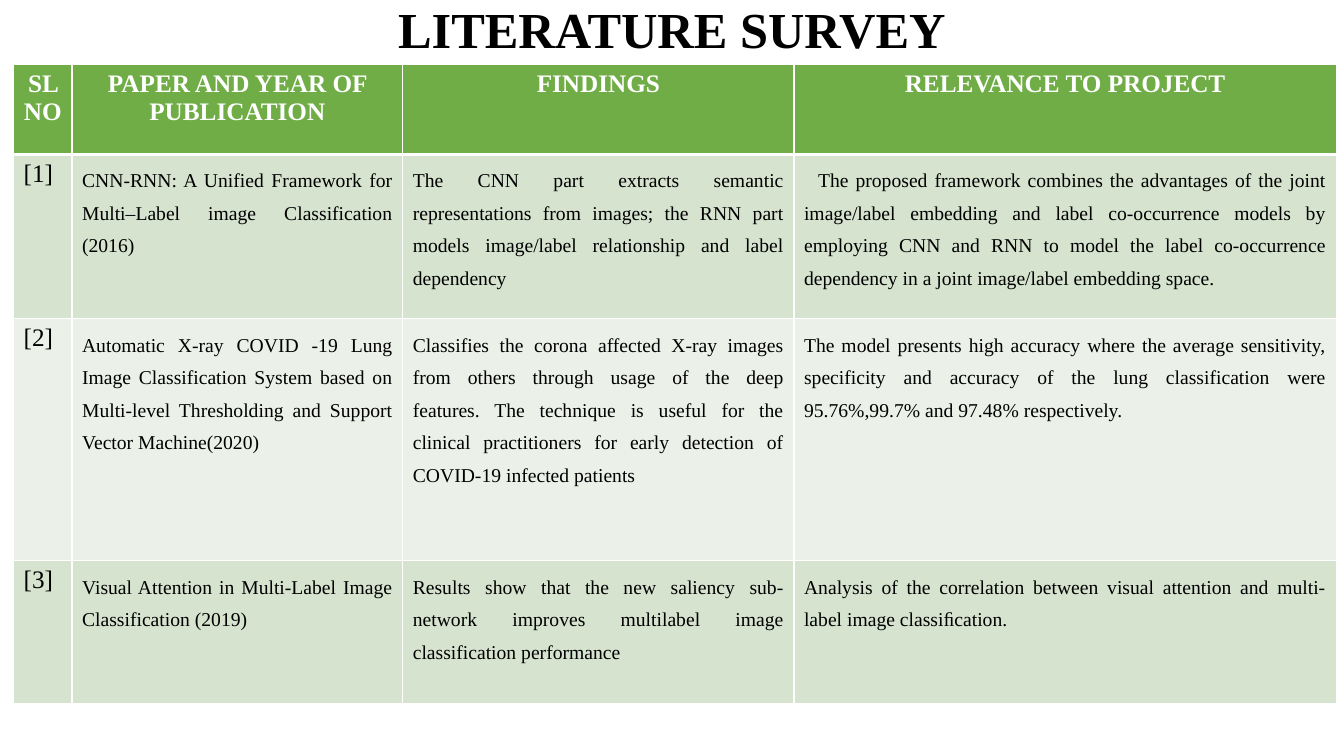
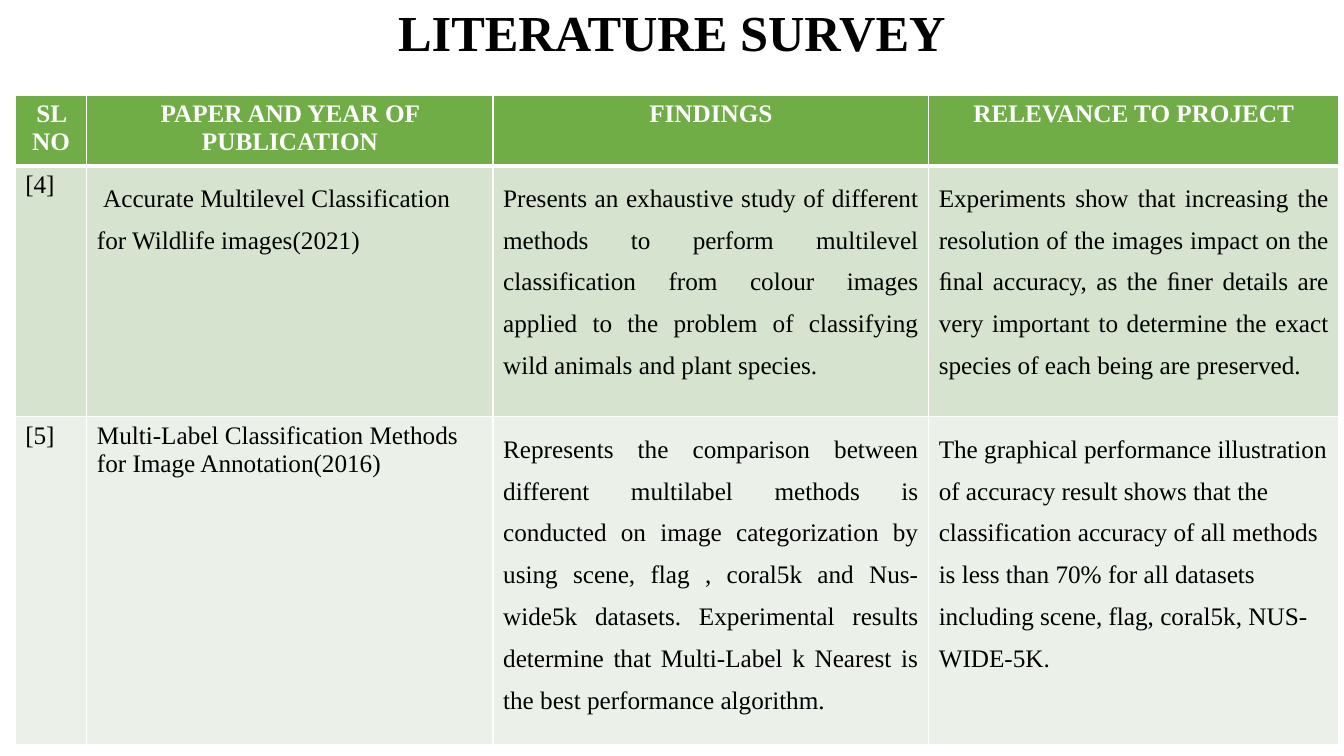
from dataclasses import dataclass

from lxml.etree import SubElement
from pptx import Presentation
from pptx.dml.color import RGBColor
from pptx.enum.text import MSO_ANCHOR as Anchor, PP_ALIGN as Align
from pptx.oxml import parse_xml
from pptx.oxml.ns import nsdecls, qn
from pptx.util import Inches, Pt


@dataclass(frozen=True)
class Theme:
    font: str = "Times New Roman"
    title_size: int = 36
    large: int = 18
    small: int = 14
    ink: str = "000000"
    paper: str = "FFFFFF"
    header: str = "70AD47"
    bands: tuple = ("D5E3CF", "EBF1E9")
    rule: int = 1
    header_rule: int = 3


@dataclass(frozen=True)
class Entry:
    """Text of one table cell and how it is set."""
    text: str
    size: int = Theme.large
    align: Align = Align.JUSTIFY
    spacing: float = 1.5
    indent: float = 0


class SurveyDeck:
    """Style and current slide; all lengths are percent of the slide's size."""

    def __init__(self, theme):
        self.theme = theme
        self.presentation = Presentation()
        self.presentation.slide_width = Inches(13.33)
        self.presentation.slide_height = Inches(7.5)
        self.slide = None

    def across(self, percent):
        return round(self.presentation.slide_width * percent / 100)

    def down(self, percent):
        return round(self.presentation.slide_height * percent / 100)

    def add_slide(self):
        self.slide = self.presentation.slides.add_slide(self.presentation.slide_layouts[6])

    def set_text(self, text_frame, entry, color, bold=False):
        text_frame.text = entry.text
        paragraph = text_frame.paragraphs[0]
        paragraph.alignment = entry.align
        paragraph.line_spacing = entry.spacing
        if entry.indent:
            paragraph._p.get_or_add_pPr().set("indent", str(Pt(entry.indent)))
        font = paragraph.runs[0].font
        font.name, font.size, font.bold = self.theme.font, Pt(entry.size), bold
        font.color.rgb = RGBColor.from_string(color)

    def title(self, text, top, height):
        shape = self.slide.shapes.add_textbox(
            self.across(8.85), self.down(top), self.across(82.3), self.down(height))
        text_frame = shape.text_frame
        text_frame.word_wrap = True
        text_frame.vertical_anchor = Anchor.MIDDLE
        entry = Entry(text, self.theme.title_size, Align.CENTER, 0.9)
        self.set_text(text_frame, entry, self.theme.ink, bold=True)

    def borders(self, cell, top, bottom):
        properties = cell._tc.get_or_add_tcPr()
        widths = {"lnL": self.theme.rule, "lnR": self.theme.rule, "lnT": top, "lnB": bottom}
        for position, (side, width) in enumerate(widths.items()):
            line = parse_xml(f'<a:{side} {nsdecls("a")} w="{Pt(width)}"/>')
            fill = SubElement(line, qn("a:solidFill"))
            SubElement(fill, qn("a:srgbClr"), val=self.theme.paper)
            properties.insert(position, line)

    def table(self, left, top, columns, heights, entries):
        theme = self.theme
        headings = ("SL NO", "PAPER AND YEAR OF PUBLICATION", "FINDINGS", "RELEVANCE TO PROJECT")
        header = [Entry(text, align=Align.CENTER, spacing=1.0) for text in headings]
        table = self.slide.shapes.add_table(
            len(heights), len(columns), self.across(left), self.down(top),
            self.across(sum(columns)), self.down(sum(heights))).table
        for column, width in zip(table.columns, columns):
            column.width = self.across(width)
        for row, height in zip(table.rows, heights):
            row.height = self.down(height)

        for row_index, row_entries in enumerate([header, *entries]):
            is_header = row_index == 0
            fill = theme.header if is_header else theme.bands[(row_index - 1) % 2]
            for column_index, entry in enumerate(row_entries):
                cell = table.cell(row_index, column_index)
                cell.fill.solid()
                cell.fill.fore_color.rgb = RGBColor.from_string(fill)
                self.borders(cell,
                             theme.header_rule if row_index == 1 else theme.rule,
                             theme.header_rule if is_header else theme.rule)
                self.set_text(cell.text_frame, entry,
                              theme.paper if is_header else theme.ink, is_header)


def number(value):
    return Entry(f"[{value}]", spacing=1.0)


def small(text, indent=0):
    return Entry(text, Theme.small, indent=indent)


def main():
    deck = SurveyDeck(Theme())

    # Papers 1 to 3
    deck.add_slide()
    deck.title("LITERATURE SURVEY", top=0.13, height=8.27)
    deck.table(1.01, 8.58, (4.35, 24.61, 29.11, 40.36), (11.87, 21.73, 32, 18.93), [
        [number(1),
         small("CNN-RNN: A Unified Framework for Multi–Label image Classification (2016)"),
         small("The CNN part extracts semantic representations from images; the RNN part "
               "models image/label relationship and label dependency"),
         small("The proposed framework combines the advantages of the joint image/label "
               "embedding and label co-occurrence models by employing CNN and RNN to model "
               "the label co-occurrence dependency in a joint image/label embedding space.",
               indent=10)],
        [number(2),
         small("Automatic X-ray COVID -19 Lung Image Classification System based on "
               "Multi-level Thresholding and Support Vector Machine(2020)"),
         small("Classifies the corona affected X-ray images from others through usage of the "
               "deep features. The technique is useful for the clinical practitioners for "
               "early detection of COVID-19 infected patients"),
         small("The model presents high accuracy where the average sensitivity, specificity "
               "and accuracy of the lung classification were 95.76%,99.7% and 97.48% "
               "respectively.")],
        [number(3),
         small("Visual Attention in Multi-Label Image Classification (2019)"),
         small("Results show that the new saliency sub-network improves multilabel image "
               "classification performance"),
         small("Analysis of the correlation between visual attention and multi-label image "
               "classiﬁcation.")],
    ])

    # Papers 4 and 5
    deck.add_slide()
    deck.title("LITERATURE SURVEY", top=0, height=9.33)
    deck.table(1.13, 12.6, (5.33, 30.23, 32.41, 30.53), (8.93, 33.2, 41.33), [
        [number(4),
         Entry("Accurate Multilevel Classification for Wildlife images(2021)",
               align=Align.LEFT, indent=4.5),
         Entry("Presents an exhaustive study of different methods to perform multilevel "
               "classification from colour images applied to the problem of classifying "
               "wild animals and plant species."),
         Entry("Experiments show that increasing the resolution of the images impact on the "
               "ﬁnal accuracy, as the ﬁner details are very important to determine the exact "
               "species of each being are preserved.")],
        [number(5),
         Entry("Multi-Label Classification Methods for Image Annotation(2016)",
               align=Align.LEFT, spacing=1.0),
         Entry("Represents the comparison between different multilabel methods is conducted "
               "on image categorization by using scene, flag , coral5k and Nus-wide5k "
               "datasets. Experimental results determine that Multi-Label k Nearest is the "
               "best performance algorithm."),
         Entry("The graphical performance illustration of accuracy result shows that the "
               "classification accuracy of all methods is less than 70% for all datasets "
               "including scene, flag, coral5k, NUS-WIDE-5K.", align=Align.LEFT)],
    ])

    deck.presentation.save("out.pptx")


if __name__ == "__main__":
    main()
